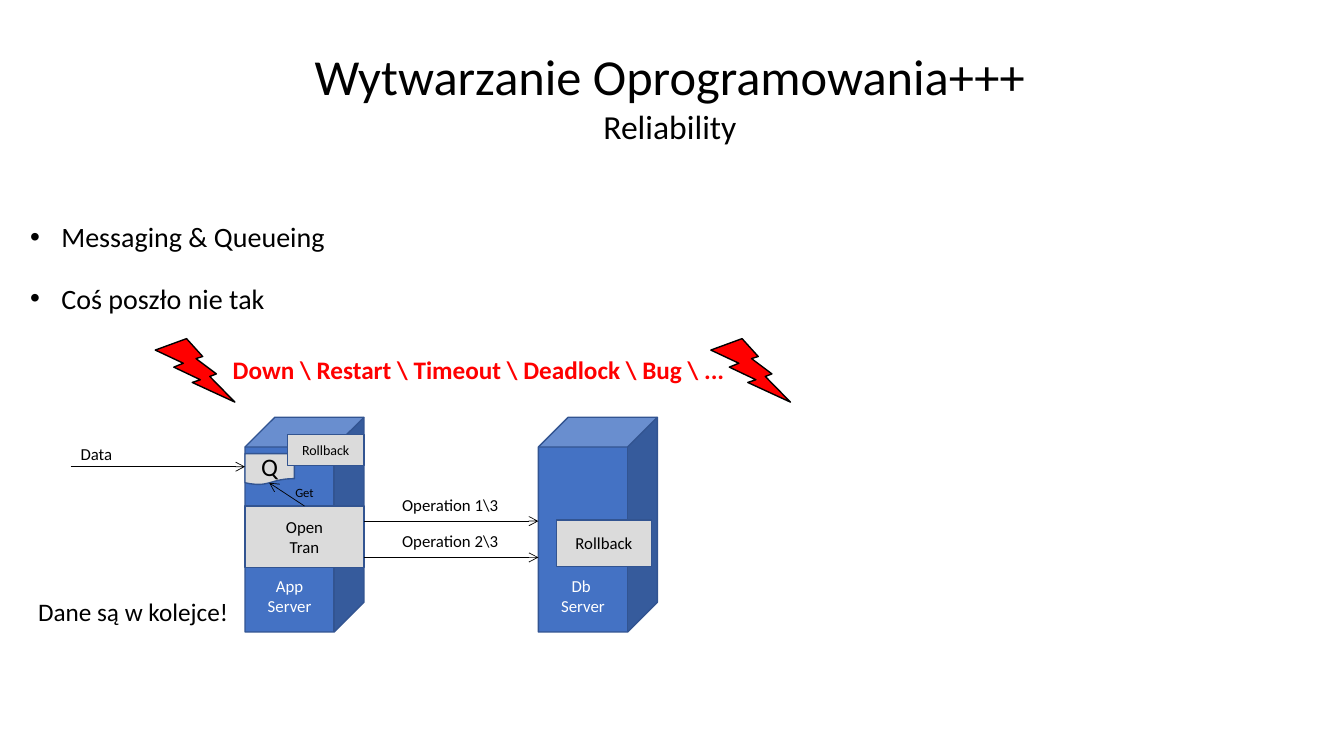
"""Build the Reliability slide: a message queue protecting a failed transaction."""
from lxml import etree
from pptx import Presentation
from pptx.dml.color import RGBColor
from pptx.enum.shapes import MSO_CONNECTOR, MSO_SHAPE
from pptx.enum.text import MSO_ANCHOR, PP_ALIGN
from pptx.oxml.ns import qn
from pptx.util import Inches, Pt

FONT = "Calibri"
BLACK, WHITE, RED = "000000", "FFFFFF", "FF0000"
BLUE, EDGE, GREY = "4472C4", "325491", "DBDBDB"

APP_X, DB_X = 2.43, 5.34
SERVER_Y, SERVER_W, SERVER_H = 4.14, 1.18, 2.13
APP_RIGHT = APP_X + SERVER_W
TRAN_Y = 5.02

TITLE = [("Wytwarzanie Oprogramowania+++", 36), ("Reliability", 24)]
BULLETS = [("Messaging & Queueing", 2.13), ("Coś poszło nie tak", 2.74)]
SERVERS = [(["App Server"], APP_X), (["Db ", "Server"], DB_X)]
BOXES = [
    (MSO_SHAPE.FLOWCHART_DOCUMENT, ["Q"], 18, (APP_X, 4.5, 0.49, 0.31)),
    (MSO_SHAPE.RECTANGLE, ["Open", "Tran"], 12, (APP_X, TRAN_Y, SERVER_W, 0.61)),
    (MSO_SHAPE.RECTANGLE, ["Rollback"], 10, (2.85, 4.31, 0.76, 0.31)),
    (MSO_SHAPE.RECTANGLE, ["Rollback"], 12, (5.52, 5.16, 0.94, 0.46)),
]
BOLT_LEFTS = [1.54, 7.05]
ARROWS = [
    ((0.7, 4.63), (APP_X, 4.63)),
    ((APP_RIGHT, 5.17), (DB_X, 5.17)),
    ((APP_RIGHT, 5.53), (DB_X, 5.53)),
    ((APP_X + SERVER_W / 2, TRAN_Y), (2.67, 4.79)),
]
LABELS = [
    ("Data", 12, (0.7, 4.35, 0.52, 0.3)),
    ("Operation 1\\3", 12, (3.89, 4.86, 1.17, 0.3)),
    ("Operation 2\\3", 12, (3.89, 5.22, 1.17, 0.3)),
    ("Get", 9, (2.83, 4.76, 0.39, 0.25)),
    ("Dane są w kolejce!", 18, (0.28, 5.87, 2.11, 0.4)),
]
ALARM = ("Down \\ Restart \\ Timeout \\ Deadlock \\ Bug \\ ...", 18, (2.21, 3.47, 5.13, 0.4))

prs = Presentation()
prs.slide_width, prs.slide_height = Inches(13.33), Inches(7.5)
slide = prs.slides.add_slide(prs.slide_layouts[5])
shapes = slide.shapes


def rgb(value):
    return RGBColor.from_string(value)


def inches(*values):
    return [Inches(v) for v in values]


def write(frame, lines, color=BLACK, align=PP_ALIGN.LEFT, anchor=MSO_ANCHOR.TOP, wrap=True, bold=False):
    frame.word_wrap = wrap
    frame.vertical_anchor = anchor
    for i, (text, size) in enumerate(lines):
        paragraph = frame.add_paragraph() if i else frame.paragraphs[0]
        paragraph.alignment = align
        run = paragraph.add_run()
        run.text = text
        run.font.name, run.font.size, run.font.bold = FONT, Pt(size), bold
        run.font.color.rgb = rgb(color)


def add_block(kind, at, fill, line):
    block = shapes.add_shape(kind, *inches(*at))
    block.shadow.inherit = False
    block.fill.solid()
    block.fill.fore_color.rgb = rgb(fill)
    block.line.color.rgb = rgb(line)
    block.line.width = Pt(1)
    return block


def add_label(text, size, at, **style):
    box = shapes.add_textbox(*inches(*at))
    write(box.text_frame, [(text, size)], **style)
    return box


def add_arrow(start, end):
    arrow = shapes.add_connector(MSO_CONNECTOR.STRAIGHT, *inches(*start, *end))
    arrow.line.color.rgb = rgb(BLACK)
    arrow.line.width = Pt(0.5)
    etree.SubElement(arrow.line._get_or_add_ln(), qn("a:tailEnd"), type="arrow")
    etree.SubElement(arrow._element.spPr, qn("a:effectLst"))


title = shapes.title
title.left, title.top, title.width, title.height = inches(2.99, 0.4, 7.31, 1.11)
write(title.text_frame, TITLE, align=PP_ALIGN.CENTER, wrap=False)

for text, top in BULLETS:
    bullet = add_label(text, 20, (0.2, top, 9.69, 0.44))
    props = bullet.text_frame.paragraphs[0]._p.get_or_add_pPr()
    props.set("marL", str(Inches(0.31)))
    props.set("indent", str(-Inches(0.31)))
    etree.SubElement(props, qn("a:buFont"), typeface="Arial")
    etree.SubElement(props, qn("a:buChar"), char="•")

for lines, left in SERVERS:
    server = add_block(MSO_SHAPE.CUBE, (left, SERVER_Y, SERVER_W, SERVER_H), BLUE, EDGE)
    server.text_frame.margin_bottom = Inches(0.16)
    write(server.text_frame, [(line, 12) for line in lines], WHITE, PP_ALIGN.CENTER, MSO_ANCHOR.BOTTOM)

for kind, lines, size, at in BOXES:
    box = add_block(kind, at, GREY, EDGE)
    write(box.text_frame, [(line, size) for line in lines], align=PP_ALIGN.CENTER, anchor=MSO_ANCHOR.MIDDLE)

for left in BOLT_LEFTS:
    add_block(MSO_SHAPE.LIGHTNING_BOLT, (left, 3.36, 0.79, 0.63), RED, BLACK)

for start, end in ARROWS:
    add_arrow(start, end)

for label in LABELS:
    add_label(*label, wrap=False)
add_label(*ALARM, color=RED, wrap=False, bold=True)

prs.save("out.pptx")
